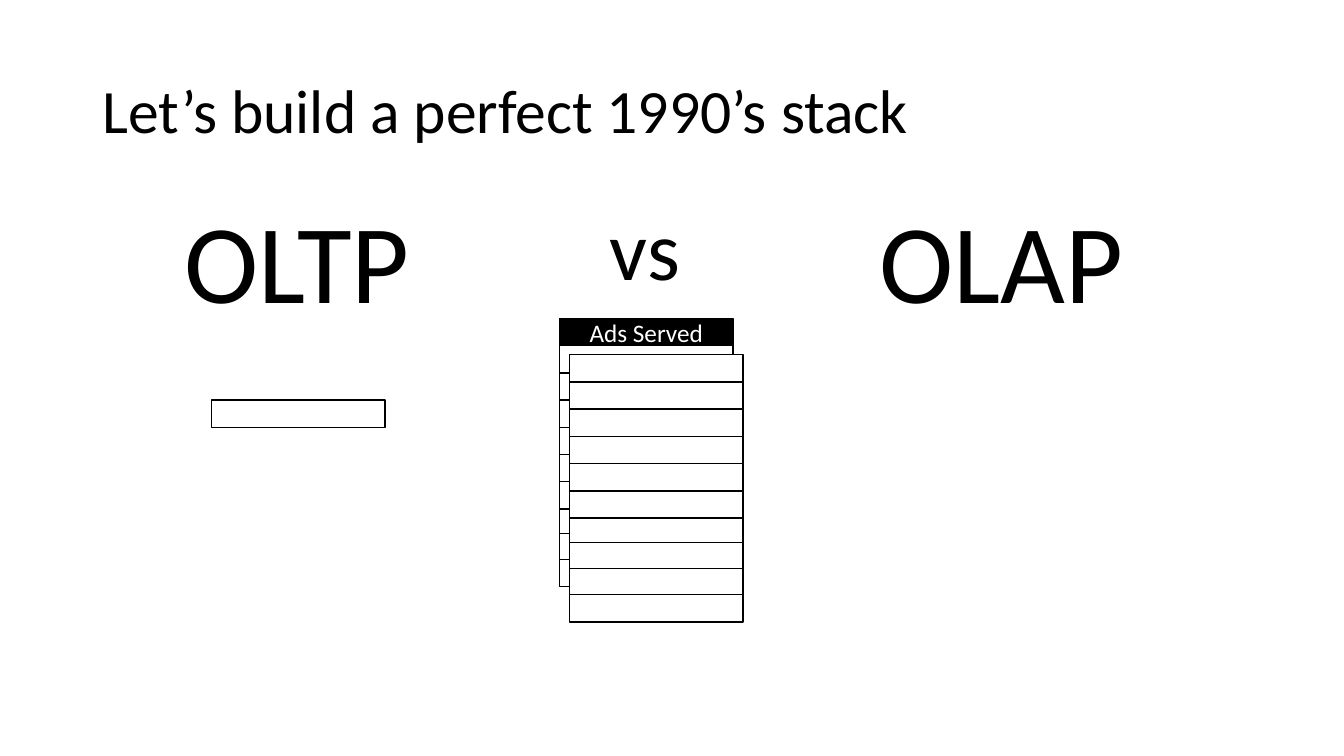
"""Build the OLTP versus OLAP slide with its stacks of table rows."""
from pptx import Presentation
from pptx.dml.color import RGBColor
from pptx.enum import shapes, text
from pptx.util import Inches, Pt

THEME = {
    "font": "Calibri",
    "ink": RGBColor(0, 0, 0),
    "paper": RGBColor(255, 255, 255),
    "title": Pt(44), "system": Pt(80), "versus": Pt(60), "header": Pt(18),
    "rule": Pt(1),
}
TITLE = ("Let’s build a perfect 1990’s stack", "title", (0.92, 0.4, 11.5, 1.45),
         {"word_wrap": True, "vertical_anchor": text.MSO_ANCHOR.MIDDLE})
COMPARISON = [
    ("OLAP", "system", (8.62, 1.85, 2.65, 1.45)),
    ("OLTP", "system", (1.73, 1.85, 2.46, 1.45)),
    ("vs", "versus", (5.95, 1.9, 0.91, 1.11)),
]
COMPARISON_FORMAT = {"word_wrap": False, "auto_size": text.MSO_AUTO_SIZE.SHAPE_TO_FIT_TEXT}
HEADER_FORMAT = {"word_wrap": True, "vertical_anchor": text.MSO_ANCHOR.MIDDLE}
SINGLE_ROW = (2.1, 3.97)
HEADER = ("Ads Served", 5.55, 3.16)
BACK_STACK = (5.55, 3.43, 9)
FRONT_STACK = (5.65, 3.52, 10)
ROW_WIDTH, ROW_HEIGHT = 1.72, 0.27
FULL_PITCH_ROWS = 6


def write(frame, words, size, color, frame_format):
    for name, value in frame_format.items():
        setattr(frame, name, value)
    paragraph = frame.paragraphs[0]
    run = paragraph.add_run()
    run.text = words
    for name, value in {"name": THEME["font"], "size": THEME[size]}.items():
        setattr(run.font, name, value)
    run.font.color.rgb = THEME[color]
    return paragraph


def add_label(canvas, words, size, box, frame_format):
    label = canvas.add_textbox(*map(Inches, box))
    return write(label.text_frame, words, size, "ink", frame_format)


def add_row(canvas, left, top, fill="paper"):
    row = canvas.add_shape(shapes.MSO_SHAPE.RECTANGLE,
                           *map(Inches, (left, top, ROW_WIDTH, ROW_HEIGHT)))
    row.shadow.inherit = False
    row.fill.solid()
    row.fill.fore_color.rgb = THEME[fill]
    row.line.color.rgb = THEME["ink"]
    row.line.width = THEME["rule"]
    return row


def add_stack(canvas, left, top, count):
    for index in range(count):
        offset = ROW_HEIGHT * index if index <= FULL_PITCH_ROWS else 0.26 * index + 0.04
        add_row(canvas, left, top + offset)


def main():
    deck = Presentation()
    deck.slide_width, deck.slide_height = Inches(13.33), Inches(7.5)
    canvas = deck.slides.add_slide(deck.slide_layouts[6]).shapes

    add_row(canvas, *SINGLE_ROW)
    add_label(canvas, *TITLE).line_spacing = 0.9

    ads_served = canvas.add_group_shape().shapes
    words, left, top = HEADER
    header = add_row(ads_served, left, top, "ink")
    write(header.text_frame, words, "header", "paper",
          HEADER_FORMAT).alignment = text.PP_ALIGN.CENTER
    add_stack(ads_served, *BACK_STACK)

    add_stack(canvas, *FRONT_STACK)
    for words, size, box in COMPARISON:
        add_label(canvas, words, size, box, COMPARISON_FORMAT)

    deck.save("out.pptx")


if __name__ == "__main__":
    main()
